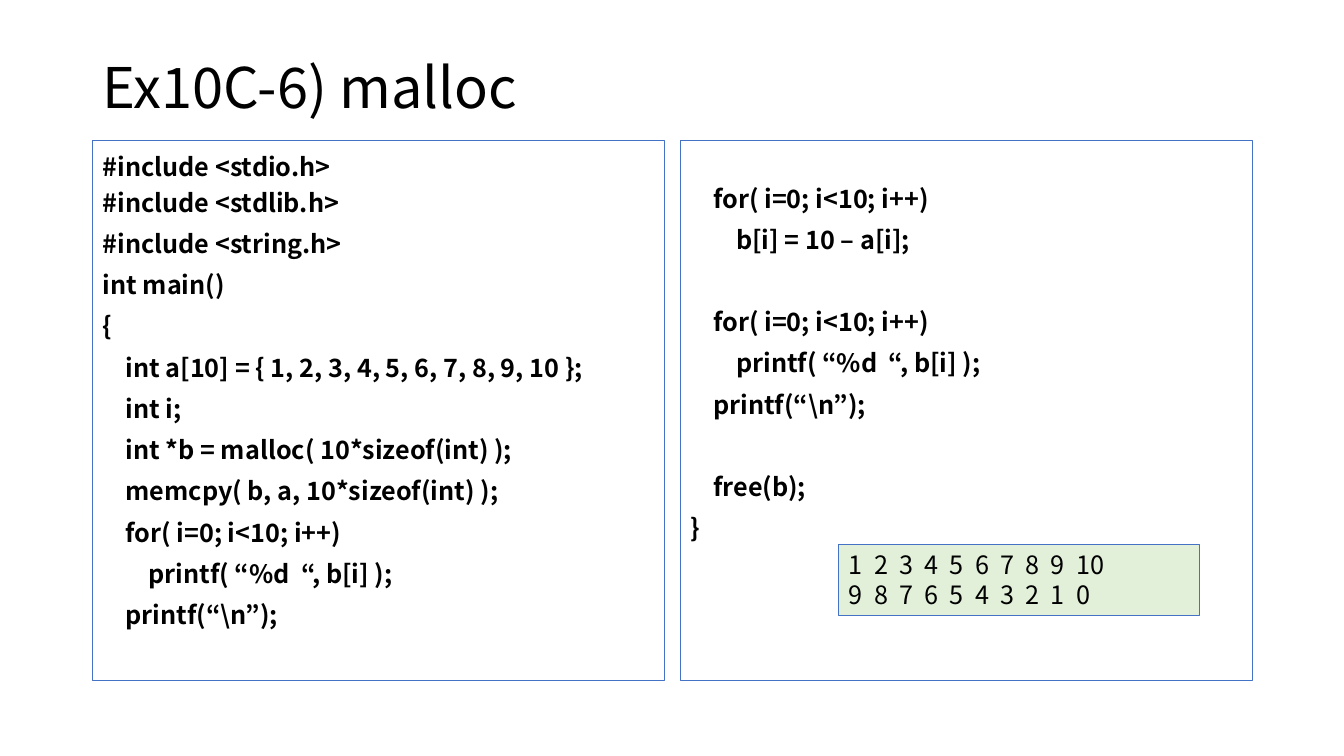
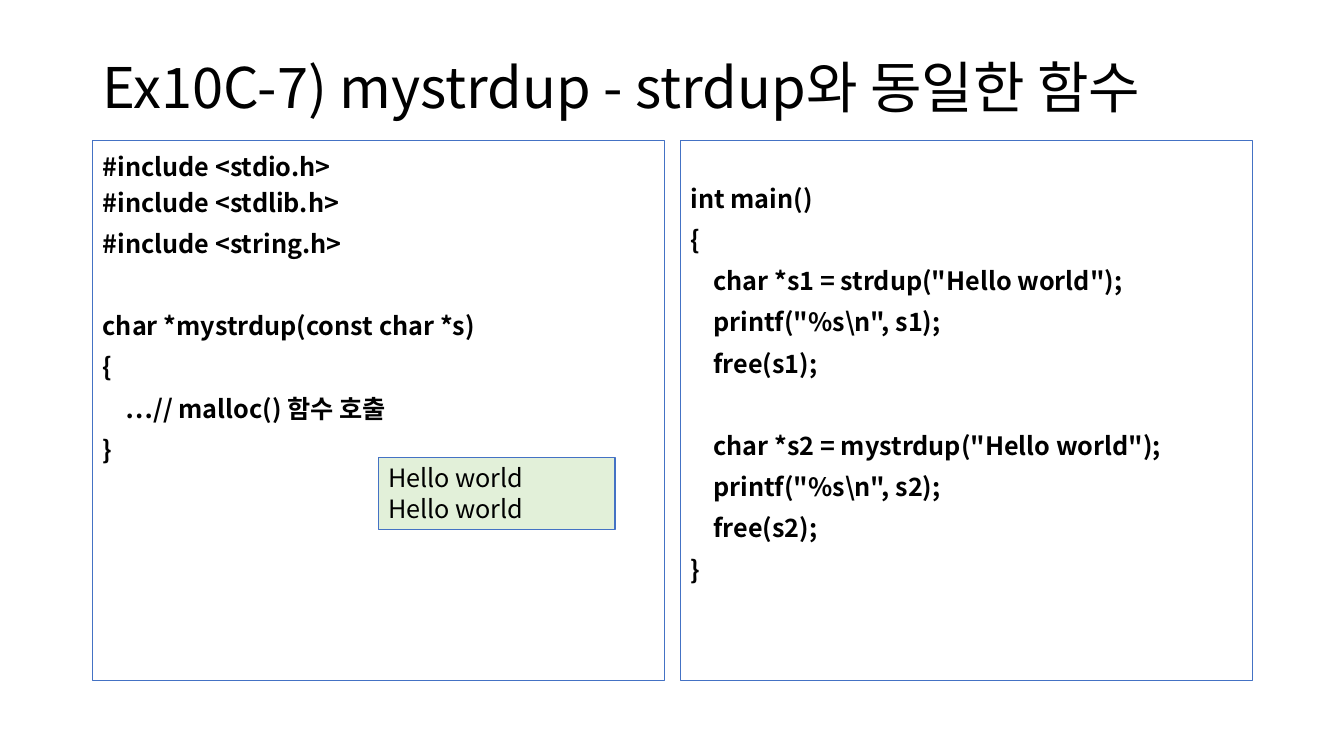
import dataclasses

import pptx
import pptx.dml.color
import pptx.enum.shapes
import pptx.enum.text
import pptx.oxml
import pptx.oxml.ns
import pptx.util

Inches = pptx.util.Inches
Pt = pptx.util.Pt
RGB = pptx.dml.color.RGBColor


@dataclasses.dataclass(frozen=True)
class Theme:
    font: str = "Noto Sans CJK KR"
    text: RGB = RGB(0x00, 0x00, 0x00)
    border: RGB = RGB(0x44, 0x72, 0xC4)
    output_fill: RGB = RGB(0xE2, 0xF0, 0xD9)
    title_size: int = 40
    body_size: int = 18
    border_width: float = 0.75
    tight: float = 0.9
    loose: float = 1.2
    code_gap: float = 10
    blank_line: float = 29.3


THEME = Theme()
LEFT, TITLE_TOP, TITLE_W, TITLE_H = 0.92, 0.4, 11.5, 0.99
PANEL_TOP, PANEL_W, PANEL_H, PANEL_GAP = 1.39, 5.67, 5.36, 0.16
OUTPUT_H = 0.71
TEXT_INSET, LOWERED_INSET = 0.05, 0.46

HEADERS = ["#include <stdio.h>", "#include <stdlib.h>", "#include <string.h>"]
PRINT_LOOP = [
    "    for( i=0; i<10; i++)",
    "        printf( “%d  “, b[i] );",
    r"    printf(“\n”);",
]

SLIDES = [
    {
        "title": "Ex10C-6) malloc",
        "left": HEADERS + [
            "int main()",
            "{",
            "    int a[10] = { 1, 2, 3, 4, 5, 6, 7, 8, 9, 10 };",
            "    int i;",
            "    int *b = malloc( 10*sizeof(int) );",
            "    memcpy( b, a, 10*sizeof(int) );",
        ] + PRINT_LOOP,
        "right": [
            "    for( i=0; i<10; i++)",
            "        b[i] = 10 – a[i];",
            "",
        ] + PRINT_LOOP + ["", "    free(b);", "}"],
        "output": ["1  2  3  4  5  6  7  8  9  10", "9  8  7  6  5  4  3  2  1  0"],
        "output_box": (8.32, 5.4, 3.58, OUTPUT_H),
    },
    {
        "title": "Ex10C-7) mystrdup - strdup와 동일한 함수",
        "left": HEADERS + [
            "",
            "char *mystrdup(const char *s)",
            "{",
            "    …// malloc() 함수 호출",
            "}",
        ],
        "right": [
            "int main()",
            "{",
            '    char *s1 = strdup("Hello world");',
            r'    printf("%s\n", s1);',
            "    free(s1);",
            "",
            '    char *s2 = mystrdup("Hello world");',
            r'    printf("%s\n", s2);',
            "    free(s2);",
            "}",
        ],
        "output": ["Hello world", "Hello world"],
        "output_box": (3.75, 4.54, 2.35, OUTPUT_H),
    },
]


def write_line(p, text, size, bold=False):
    p.text = text
    p.alignment = pptx.enum.text.PP_ALIGN.LEFT
    for r in p.runs:
        r.font.name = THEME.font
        r.font.size = Pt(size)
        r.font.bold = bold
        r.font.color.rgb = THEME.text
        ea = pptx.oxml.ns.qn("a:ea")
        r.font._element.find(pptx.oxml.ns.qn("a:latin")).addnext(
            pptx.oxml.parse_xml(
                f'<a:ea {pptx.oxml.ns.nsdecls("a")} typeface="{THEME.font}"/>'
            )
        ) if r.font._element.find(ea) is None else None


def next_paragraph(tf, index):
    return tf.paragraphs[0] if index == 0 else tf.add_paragraph()


def add_title(s, text, box):
    sp = s.shapes.add_textbox(*map(Inches, box))
    tf = sp.text_frame
    tf.word_wrap = True
    tf.vertical_anchor = pptx.enum.text.MSO_ANCHOR.MIDDLE
    p = tf.paragraphs[0]
    write_line(p, text, THEME.title_size)
    p.line_spacing = THEME.tight


def add_frame(s, box, fill=None):
    sp = s.shapes.add_shape(pptx.enum.shapes.MSO_SHAPE.RECTANGLE, *map(Inches, box))
    sp.shadow.inherit = False
    if fill is None:
        sp.fill.background()
    else:
        sp.fill.solid()
        sp.fill.fore_color.rgb = fill
    sp.line.color.rgb = THEME.border
    sp.line.width = Pt(THEME.border_width)
    tf = sp.text_frame
    tf.word_wrap = True
    tf.vertical_anchor = pptx.enum.text.MSO_ANCHOR.TOP
    return tf


def add_code_panel(s, box, lines, loose_lines=0, inset=TEXT_INSET):
    tf = add_frame(s, box)
    tf.margin_top = Inches(inset)
    index, extra = 0, 0
    for line in lines:
        if not line:
            extra += THEME.blank_line
            continue
        p = next_paragraph(tf, index)
        write_line(p, line, THEME.body_size, bold=True)
        loose = index < loose_lines
        p.line_spacing = THEME.loose if loose else THEME.tight
        if index and not loose:
            p.space_before = Pt(THEME.code_gap + extra)
        index, extra = index + 1, 0


def add_output(s, box, lines):
    tf = add_frame(s, box, THEME.output_fill)
    for index, line in enumerate(lines):
        write_line(next_paragraph(tf, index), line, THEME.body_size)


def add_code_slide(prs, content):
    s = prs.slides.add_slide(prs.slide_layouts[6])
    add_title(s, content["title"], (LEFT, TITLE_TOP, TITLE_W, TITLE_H))
    left_box = (LEFT, PANEL_TOP, PANEL_W, PANEL_H)
    right_box = (LEFT + PANEL_W + PANEL_GAP, PANEL_TOP, PANEL_W, PANEL_H)
    add_code_panel(s, left_box, content["left"], loose_lines=2)
    add_code_panel(s, right_box, content["right"], inset=LOWERED_INSET)
    add_output(s, content["output_box"], content["output"])


def main():
    prs = pptx.Presentation()
    prs.slide_width, prs.slide_height = Inches(13.33), Inches(7.5)
    for content in SLIDES:
        add_code_slide(prs, content)
    prs.save("out.pptx")


if __name__ == "__main__":
    main()
